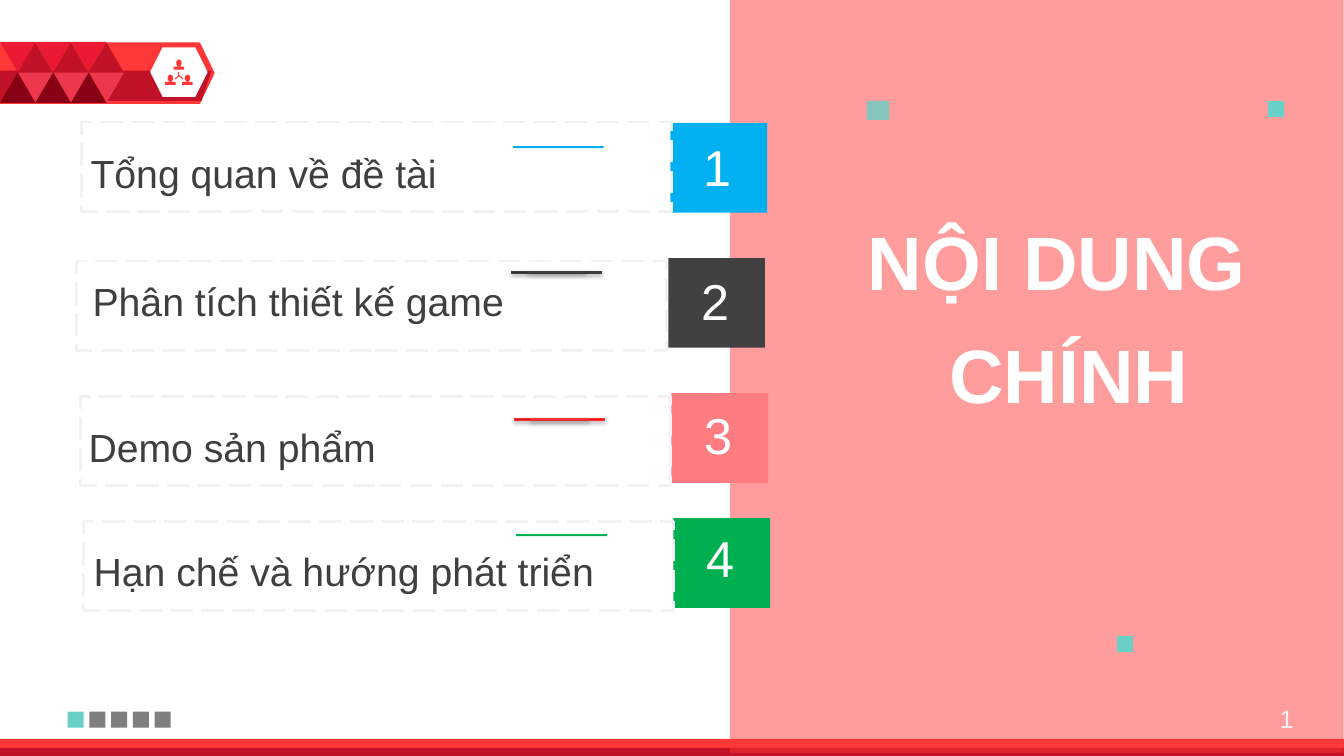
from lxml import etree
from pptx import Presentation
from pptx.dml.color import RGBColor
from pptx.enum.dml import MSO_LINE
from pptx.enum.shapes import MSO_CONNECTOR, MSO_SHAPE
from pptx.enum.text import MSO_ANCHOR, MSO_AUTO_SIZE, PP_ALIGN
from pptx.oxml.ns import qn
from pptx.util import Inches, Pt

CELL = Inches(0.1)
COLUMNS, ROWS = 133.33, 75
COLORS = {
    "white": "FFFFFF", "red": "FF3737", "crimson": "C21227", "scarlet": "EB1932",
    "rose": "ED374D", "maroon": "880014", "teal": "68D0C6", "gray": "7F7F7F",
    "pale": "F2F2F2", "ink": "3F3F3F", "blue": "00B0F0", "charcoal": "414141",
    "salmon": "FF7C80", "green": "00B050", "ink dark": "2F2F2F",
    "flame dark": "D11111", "flame": "FF1313", "flame edge": "FD3030",
}

deck = Presentation()
deck.slide_width, deck.slide_height = round(COLUMNS * CELL), round(ROWS * CELL)
slide = deck.slides.add_slide(deck.slide_layouts[5])
shapes = slide.shapes


def block(preset, left, top, width, height, color=None, alpha=None):
    """Add a borderless preset shape, measured in grid cells."""
    shape = shapes.add_shape(preset, *(round(n * CELL) for n in (left, top, width, height)))
    shape.shadow.inherit = False
    shape.line.fill.background()
    if color is None:
        shape.fill.background()
    else:
        shape.fill.solid()
        shape.fill.fore_color.rgb = RGBColor.from_string(COLORS[color])
    if alpha:
        tint = shape.element.spPr.find(qn("a:solidFill"))[0]
        etree.SubElement(tint, qn("a:alpha"), val=str(alpha * 1000))
    return shape


def caption(holder, place, text, size, color, align, bold=False):
    """Place a text holder, measured in grid cells, and write one run in it."""
    holder.left, holder.top, holder.width, holder.height = (round(n * CELL) for n in place)
    frame = holder.text_frame
    frame.word_wrap = True
    frame.auto_size = MSO_AUTO_SIZE.SHAPE_TO_FIT_TEXT
    frame.vertical_anchor = MSO_ANCHOR.TOP
    paragraph = frame.paragraphs[0]
    paragraph.alignment = align
    run = paragraph.add_run()
    run.text = text
    run.font.name, run.font.size, run.font.bold = "Arial", Pt(size), bold
    run.font.color.rgb = RGBColor.from_string(COLORS[color])


# Header ribbon
RECT, TRIANGLE = MSO_SHAPE.RECTANGLE, MSO_SHAPE.ISOSCELES_TRIANGLE
ribbon = block(MSO_SHAPE.PENTAGON, 0, 4.2, 21.3, 6.1, "red")
ribbon.adjustments[0] = 0.24
outline = shapes.build_freeform(0, 7.2, scale=CELL)
outline.add_line_segments([(21.3, 7.2), (19.8, 10.2), (0, 10.2)])
ribbon_shade = outline.convert_to_shape()
ribbon_shade.shadow.inherit = False
ribbon_shade.line.fill.background()
ribbon_shade.fill.solid()
ribbon_shade.fill.fore_color.rgb = RGBColor.from_string(COLORS["crimson"])
block(MSO_SHAPE.HEXAGON, 14.9, 4.7, 5.7, 4.9, "white")

# Team emblem
for center, top in ((17.75, 5.9), (16.9, 7.4), (18.6, 7.4)):
    block(MSO_SHAPE.OVAL, center - 0.27, top, 0.54, 0.7, "red")
    block(MSO_SHAPE.ROUND_2_SAME_RECTANGLE, center - 0.52, top + 0.72, 1.04, 0.3, "red")
    block(RECT, center - 0.12, top + 0.5, 0.24, 0.4, "red")
for end_x, end_y in ((17.75, 7.1), (17.35, 7.85), (18.15, 7.85)):
    spoke = shapes.add_connector(
        MSO_CONNECTOR.STRAIGHT, *(round(n * CELL) for n in (17.75, 7.5, end_x, end_y)))
    spoke.line.width = Pt(0.75)
    spoke.line.color.rgb = RGBColor.from_string(COLORS["red"])
    etree.SubElement(spoke.element.spPr, qn("a:effectLst"))

# Triangle pattern: three columns of four
for column in range(3):
    for shift, top, turn, color in (
            (0, 4.15, 180, "scarlet"), (1.75, 4.2, 0, "crimson"),
            (1.75, 7.2, 180, "rose"), (0, 7.2, 0, "maroon")):
        block(TRIANGLE, column * 3.52 + shift, top, 3.52, 3, color).rotation = turn

# Footer bars and side panel
block(RECT, 0, 73.3, COLUMNS, 1.6, "red")
block(RECT, 0, 74.2, COLUMNS, 0.8, "crimson")
block(RECT, 72.4, -0.3, 60.9, ROWS, "red", 49)

title = shapes.title
title.element.getparent().append(title.element)
caption(title, (78.3, 20.8, 46.3, 10.1), "NỘI DUNG", 54, "white", PP_ALIGN.RIGHT, True)
caption(shapes.add_textbox(0, 0, 0, 0), (52.2, 32, 66.7, 10.1), "CHÍNH", 54, "white",
        PP_ALIGN.RIGHT, True)

# Small squares
block(RECT, 86, 10, 2.2, 1.9, "teal", 80)
for left, top in ((110.8, 63.1), (125.8, 10)):
    block(RECT, left, top, 1.6, 1.6, "teal")
for step in range(5):
    block(RECT, 6.7 + step * 2.16, 70.6, 1.6, 1.6, "gray" if step else "teal")

# Agenda: text, colour, tile, number top, label, rule middle, frame, rule gradient and edge
agenda = [
    ("Tổng quan về đề tài", "blue", (66.5, 12.2), 13, (8, 14.3), 14.6, (8.1, 12.1), None),
    ("Phân tích thiết kế game", "charcoal", (66.3, 25.6), 26.3, (8.2, 27), 27, (7.6, 25.9),
     ("ink dark", "ink", "ink")),
    ("Demo sản phẩm", "salmon", (66.6, 39), 39.6, (7.8, 41.5), 41.6, (8, 39.3),
     ("flame dark", "flame", "flame edge")),
    ("Hạn chế và hướng phát triển", "green", (66.8, 51.4), 51.8, (8.3, 53.8), 53.1,
     (8.3, 51.7), None),
]
for number, (topic, color, tile, number_top, label, rule_y, border, glow) in enumerate(agenda, 1):
    block(RECT, *tile, 9.6, 8.9, color)
    caption(shapes.add_textbox(0, 0, 0, 0), (tile[0] + 1.2, number_top, 7, 7.1),
            str(number), 36, "white", PP_ALIGN.CENTER)
    for length, thickness in ((9, 0.2), (5.8, 0.1)):
        rule = block(RECT, tile[0] - 11.1 - length / 2, rule_y - thickness / 2,
                     length, thickness, color)
        if glow:
            rule.fill.gradient()
            rule.fill.gradient_angle = 0
            for stop, shade in zip(rule.fill.gradient_stops, glow):
                stop.color.rgb = RGBColor.from_string(COLORS[shade])
            rule.line.color.rgb = RGBColor.from_string(COLORS[glow[2]])
            rule.line.width = Pt(0.75)
            effects = rule.element.spPr.find(qn("a:effectLst"))
            cast = etree.SubElement(effects, qn("a:outerShdw"), blurRad=str(Pt(3.1)),
                                    dist=str(Pt(1.8)), dir="5400000", rotWithShape="0")
            black = etree.SubElement(cast, qn("a:srgbClr"), val="000000")
            etree.SubElement(black, qn("a:alpha"), val="35000")
    dashes = block(RECT, *border, 58.5, 8.9)
    dashes.line.color.rgb = RGBColor.from_string(COLORS["pale"])
    dashes.line.width = Pt(2)
    dashes.line.dash_style = MSO_LINE.LONG_DASH
    caption(shapes.add_textbox(0, 0, 0, 0), (*label, 53.1, 5.7), topic, 28, "ink",
            PP_ALIGN.LEFT)

caption(shapes.add_textbox(0, 0, 0, 0), (123.4, 69.3, 5.9, 4), "1", 18, "pale", PP_ALIGN.RIGHT)

deck.save("out.pptx")
